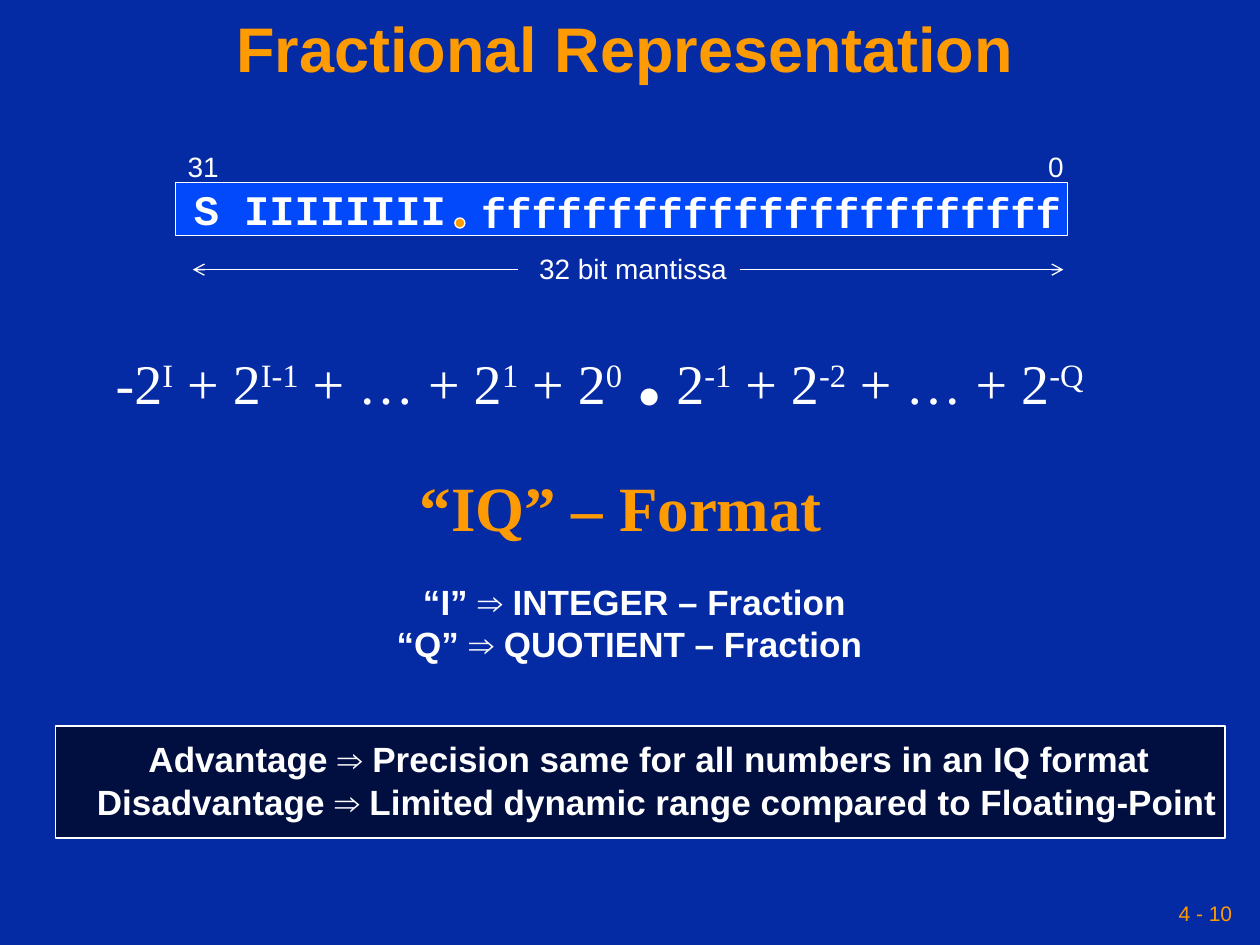
from lxml import etree
from pptx import Presentation
from pptx.dml.color import RGBColor
from pptx.enum.shapes import MSO_CONNECTOR, MSO_SHAPE
from pptx.enum.text import MSO_ANCHOR, PP_ALIGN
from pptx.oxml.ns import qn
from pptx.util import Pt

PX = 9144  # 100 px to the inch
TITLE_ONLY = 5
RECT, OVAL, STRAIGHT = MSO_SHAPE.RECTANGLE, MSO_SHAPE.OVAL, MSO_CONNECTOR.STRAIGHT
CENTER, RIGHT = PP_ALIGN.CENTER, PP_ALIGN.RIGHT
TOP, MIDDLE = MSO_ANCHOR.TOP, MSO_ANCHOR.MIDDLE
RIGHT_SIDE = 3

COLORS = {"background": "042AA4", "accent": "FE9B03", "text": "FFFFFF",
          "register": "0249FC", "panel": "000F40"}

LABEL = {"name": "Arial", "size": 16, "color": "text"}
BITS = {"name": "Courier New", "size": 24, "bold": True, "color": "text"}
STATEMENT = {"name": "Arial", "size": 20, "bold": True, "color": "text"}
FORMULA = {"name": "Times New Roman", "size": 32, "color": "text"}
HEADING = {"name": "Times New Roman", "size": 36, "bold": True, "color": "accent"}
TITLE = {"name": "Arial", "size": 36, "bold": True, "color": "accent"}
PAGE = {"name": "Arial", "size": 12, "color": "accent"}


def emu(*lengths):
    return [length * PX for length in lengths]


def rgb(key):
    return RGBColor.from_string(COLORS[key])


def format_font(font, style):
    for key, value in style.items():
        if key == "color":
            font.color.rgb = rgb(value)
        else:
            setattr(font, key, Pt(value) if key == "size" else value)


def format_frame(frame, margins=(10, 5), wrap=False, anchor=TOP):
    side, edge = emu(*margins)
    settings = {"margin_left": side, "margin_right": side, "margin_top": edge,
                "margin_bottom": edge, "word_wrap": wrap, "vertical_anchor": anchor}
    for key, value in settings.items():
        setattr(frame, key, value)


def add_text(shapes, box, lines, style, align=None, **frame_settings):
    text_box = shapes.add_textbox(*emu(*box))
    frame = text_box.text_frame
    format_frame(frame, **frame_settings)
    for number, line in enumerate(lines):
        paragraph = frame.paragraphs[0] if number == 0 else frame.add_paragraph()
        paragraph.alignment = align
        run = paragraph.add_run()
        run.text = line
        format_font(run.font, style)
    return text_box


def add_filled(shapes, kind, box, fill, line_width):
    shape = shapes.add_shape(kind, *emu(*box))
    shape.shadow.inherit = False
    shape.fill.solid()
    shape.fill.fore_color.rgb = rgb(fill)
    shape.line.color.rgb = rgb("text")
    shape.line.width = Pt(line_width)


def add_arrow(shapes, start, end):
    arrow = shapes.add_connector(STRAIGHT, *emu(*start, *end))
    arrow.line.color.rgb = rgb("text")
    arrow.line.width = Pt(0.75)
    etree.SubElement(arrow.line._get_or_add_ln(), qn("a:tailEnd"), type="arrow")
    etree.SubElement(arrow._element.spPr, qn("a:effectLst"))
    return arrow


def set_title(slide, box, text):
    title = slide.shapes.title
    title.left, title.top, title.width, title.height = emu(*box)
    title.text = text
    format_frame(title.text_frame, margins=(5, 5), wrap=True, anchor=MIDDLE)
    paragraph = title.text_frame.paragraphs[0]
    paragraph.alignment = CENTER
    paragraph.line_spacing = 0.9
    format_font(paragraph.runs[0].font, TITLE)


def draw_register(slide, box):
    left, top, width, height = box
    shapes = slide.shapes.add_group_shape().shapes
    add_filled(shapes, RECT, box, "register", 0.75)

    # Sign, integer and fraction bits around the binary point
    add_text(shapes, (left + 5, top - 4, 220, 50), ["S IIIIIIII"], BITS)
    add_text(shapes, (left + 233, top - 2, 480, 50), ["f" * 23], BITS)
    add_filled(shapes, OVAL, (left + 222, top + 28, 8, 8), "accent", 0.75)

    # Bit numbers
    add_text(shapes, (left, top - 31, 48, 37), ["31"], LABEL)
    add_text(shapes, (left + width - 25, top - 31, 34, 37), ["0"], LABEL)

    # Width of the mantissa
    middle = top + height + 27
    label = add_text(shapes, (left + 279, middle - 19, 169, 38), ["32 bit mantissa"], LABEL)
    add_arrow(shapes, (left + 272, middle), (left + 14, middle))
    right_arrow = add_arrow(shapes, (left + 448, middle), (left + width - 3, middle))
    right_arrow.begin_connect(label, RIGHT_SIDE)


def draw_formula(slide, box, terms):
    frame = slide.shapes.add_textbox(*emu(*box)).text_frame
    format_frame(frame, wrap=True)
    paragraph = frame.paragraphs[0]
    for base, exponent in terms:
        for text, raised in ((base, False), (exponent, True)):
            if not text:
                continue
            run = paragraph.add_run()
            run.text = text
            format_font(run.font, FORMULA)
            if base == ".":
                format_font(run.font, {"size": 60, "bold": True})
            if raised:
                run._r.get_or_add_rPr().set("baseline", "30000")


def draw_conclusion(slide, box, lines):
    left, top, width, height = box
    shapes = slide.shapes.add_group_shape().shapes
    add_filled(shapes, RECT, box, "panel", 1)
    text_box = add_text(shapes, (left + 23, top + 4, 911, 79), lines, STATEMENT)
    first, second = text_box.text_frame.paragraphs
    first._p.get_or_add_pPr().set("indent", str(41 * PX))
    second.space_before = Pt(1)


def main():
    presentation = Presentation()
    presentation.slide_width, presentation.slide_height = emu(1000, 750)
    slide = presentation.slides.add_slide(presentation.slide_layouts[TITLE_ONLY])
    slide.background.fill.solid()
    slide.background.fill.fore_color.rgb = rgb("background")

    set_title(slide, (0, 0, 992, 83), "Fractional Representation")
    draw_register(slide, (139, 145, 708, 42))
    draw_formula(slide, (82, 233, 850, 110), [
        ("-2", "I"), (" + 2", "I-1"), (" + … + 2", "1"), (" + 2", "0"), (" ", ""),
        (".", ""), (" 2", "-1"), (" + 2", "-2"), (" + … + 2", "-Q")])

    # Name of the format and its two letters
    add_text(slide.shapes, (323, 367, 352, 70), ["“IQ” – Format "], HEADING, CENTER)
    add_text(slide.shapes, (304, 456, 399, 77),
             ["“I” ⇒ INTEGER – Fraction", "“Q” ⇒ QUOTIENT – Fraction "], STATEMENT, CENTER)

    draw_conclusion(slide, (44, 576, 928, 89), [
        "Advantage ⇒ Precision same for all numbers in an IQ format",
        "Disadvantage ⇒ Limited dynamic range compared to Floating-Point"])

    # Page number
    add_text(slide.shapes, (683, 708, 300, 33), ["4 - 10"], PAGE, RIGHT,
             margins=(5, 5), wrap=True, anchor=MIDDLE)

    presentation.save("out.pptx")


if __name__ == "__main__":
    main()
